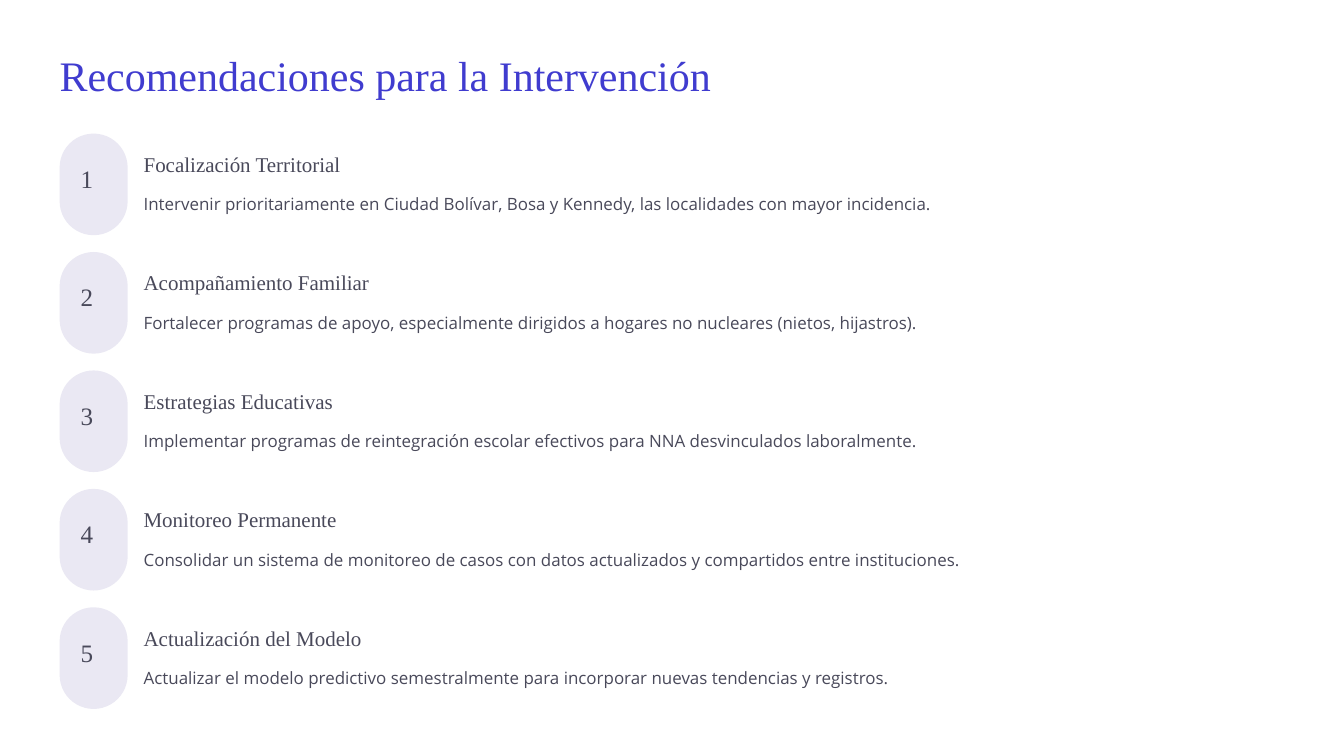
from pptx import Presentation
from pptx.dml.color import RGBColor
from pptx.enum.shapes import MSO_SHAPE
from pptx.enum.text import MSO_ANCHOR, MSO_AUTO_SIZE, PP_ALIGN
from pptx.util import Inches, Pt

INDIGO = RGBColor(0x40, 0x3C, 0xCF)
SLATE = RGBColor(0x49, 0x49, 0x5A)
LAVENDER = RGBColor(0xEA, 0xE8, 0xF3)
SERIF, SANS = "Times New Roman", "Open Sans"

TITLE = {"name": SERIF, "size": Pt(36)}
NUMBER = {"name": SERIF, "size": Pt(21.5)}
HEADING = {"name": SERIF, "size": Pt(18)}
DETAIL = {"name": SANS, "size": Pt(14.5)}

LEFT, TEXT_LEFT = 0.71, 1.71
FIRST_TOP, ROW_STEP = 1.59, 1.41

RECOMMENDATIONS = [
    ("Focalización Territorial",
     "Intervenir prioritariamente en Ciudad Bolívar, Bosa y Kennedy, "
     "las localidades con mayor incidencia."),
    ("Acompañamiento Familiar",
     "Fortalecer programas de apoyo, especialmente dirigidos a hogares "
     "no nucleares (nietos, hijastros)."),
    ("Estrategias Educativas",
     "Implementar programas de reintegración escolar efectivos para NNA "
     "desvinculados laboralmente."),
    ("Monitoreo Permanente",
     "Consolidar un sistema de monitoreo de casos con datos actualizados "
     "y compartidos entre instituciones."),
    ("Actualización del Modelo",
     "Actualizar el modelo predictivo semestralmente para incorporar "
     "nuevas tendencias y registros."),
]


def write(sp, text, style, color, line_pt):
    """Fill a shape with one left-aligned line of text, without margins."""
    tf = sp.text_frame
    frame = {"margin_left": 0, "margin_top": 0, "margin_right": 0, "margin_bottom": 0,
             "word_wrap": True, "auto_size": MSO_AUTO_SIZE.NONE,
             "vertical_anchor": MSO_ANCHOR.TOP}
    for key, value in frame.items():
        setattr(tf, key, value)
    p = tf.paragraphs[0]
    p.alignment = PP_ALIGN.LEFT
    p.line_spacing = Pt(line_pt)
    r = p.add_run()
    r.text = text
    for key, value in style.items():
        setattr(r.font, key, value)
    r.font.color.rgb = color


def add_title(s, text):
    sp = s.shapes.title
    box = {"left": LEFT, "top": 0.56, "width": 10.05, "height": 0.63}
    for key, value in box.items():
        setattr(sp, key, Inches(value))
    write(sp, text, TITLE, INDIGO, 45)


def add_text(s, x, y, w, h, text, style, line_pt):
    sp = s.shapes.add_textbox(Inches(x), Inches(y), Inches(w), Inches(h))
    write(sp, text, style, SLATE, line_pt)


def add_pill(s, x, y):
    sp = s.shapes.add_shape(MSO_SHAPE.ROUNDED_RECTANGLE, Inches(x), Inches(y),
                            Inches(0.81), Inches(1.21))
    sp.adjustments[0] = 0.5
    sp.shadow.inherit = False
    sp.fill.solid()
    sp.fill.fore_color.rgb = LAVENDER
    sp.line.fill.background()


def add_recommendation(s, number, y, heading, detail):
    add_pill(s, LEFT, y)
    add_text(s, 0.96, y + 0.415, 0.3, 0.38, str(number), NUMBER, 21.5)
    add_text(s, TEXT_LEFT, y + 0.2, 3.5, 0.32, heading, HEADING, 22.5)
    add_text(s, TEXT_LEFT, y + 0.64, 13.58, 0.32, detail, DETAIL, 23)


def main():
    prs = Presentation()
    prs.slide_width, prs.slide_height = Inches(16), Inches(9)
    s = prs.slides.add_slide(prs.slide_layouts[5])

    # Title
    add_title(s, "Recomendaciones para la Intervención")

    # Numbered recommendations
    for i, (heading, detail) in enumerate(RECOMMENDATIONS):
        add_recommendation(s, i + 1, FIRST_TOP + i * ROW_STEP, heading, detail)

    prs.save("out.pptx")


if __name__ == "__main__":
    main()
